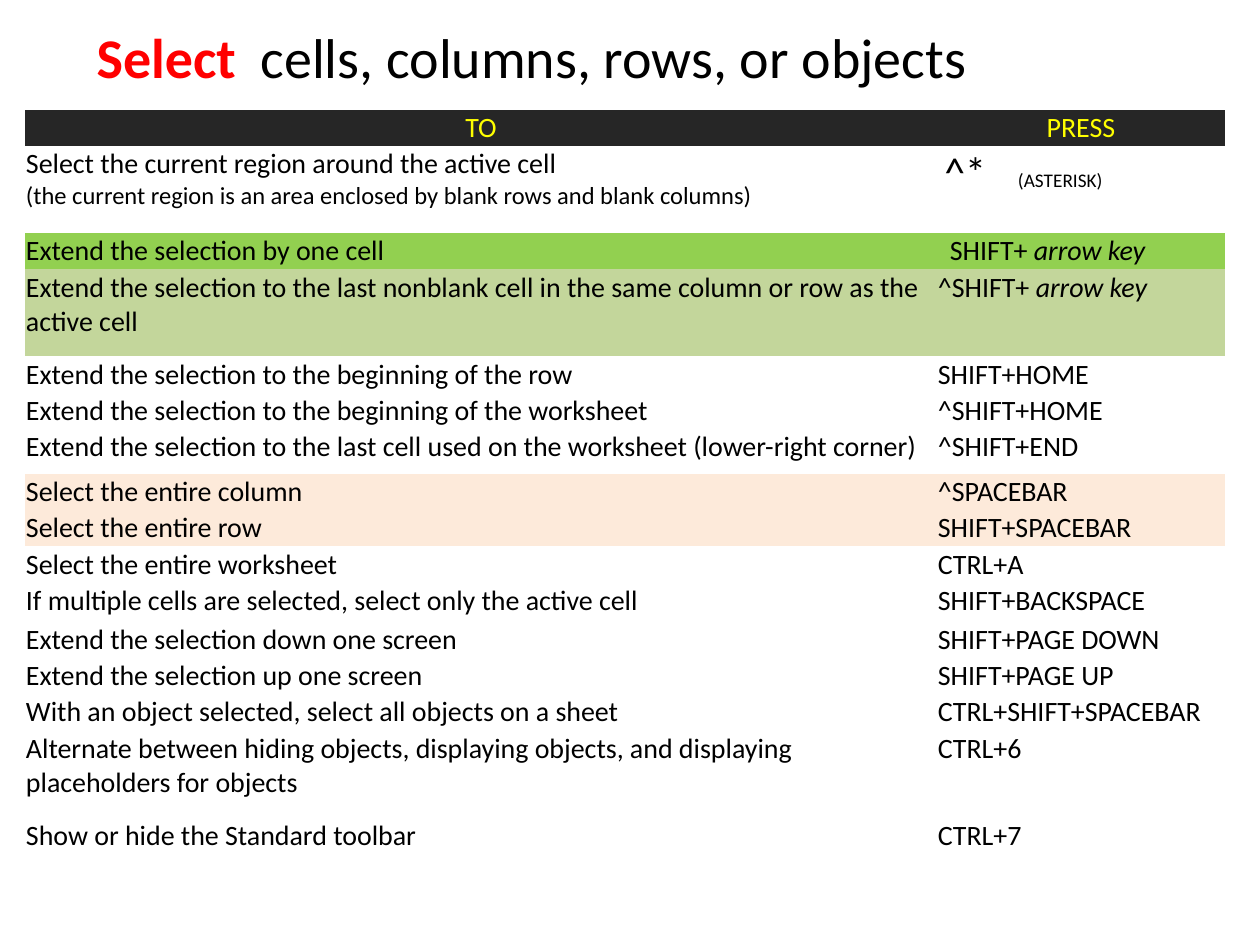
from dataclasses import dataclass

from lxml import etree
from pptx import Presentation
from pptx.dml.color import RGBColor
from pptx.enum.text import MSO_ANCHOR, MSO_AUTO_SIZE, PP_ALIGN
from pptx.oxml.ns import qn
from pptx.util import Pt

LEFT, CENTER = PP_ALIGN.LEFT, PP_ALIGN.CENTER
TOP = MSO_ANCHOR.TOP
NO_AUTOFIT = MSO_AUTO_SIZE.NONE
PX = 914400 // 126  # EMU in one px
PLAIN_TABLE_STYLE = "{2D5ABB26-0587-4C30-8999-92F81FD0307C}"


@dataclass(frozen=True)
class Theme:
    font: str = "Calibri"
    black: str = "000000"
    white: str = "FFFFFF"
    red: str = "FF0000"
    yellow: str = "FFFF00"
    header: str = "262626"
    green: str = "92D050"
    pale_green: str = "C3D69B"
    peach: str = "FDEADA"
    title: int = 32
    key_symbol: int = 24
    body: int = 16
    remark: int = 14
    key_name: int = 11


THEME = Theme()


def add_run(paragraph, text, size=THEME.body, color=THEME.black, bold=False, italic=False):
    run = paragraph.add_run()
    run.text = text
    run.font.name = THEME.font
    run.font.size = Pt(size)
    run.font.bold = bold
    run.font.italic = italic
    run.font.color.rgb = RGBColor.from_string(color)


def set_tab(paragraph, position):
    tabs = etree.SubElement(paragraph._p.get_or_add_pPr(), qn("a:tabLst"))
    etree.SubElement(tabs, qn("a:tab"), pos=str(position * PX), algn="l")


prs = Presentation()
prs.slide_width, prs.slide_height = 1260 * PX, 945 * PX
slide = prs.slides.add_slide(prs.slide_layouts[5])

# Title
title = slide.shapes.title
title.left, title.top, title.width, title.height = (n * PX for n in (84, 16, 951, 81))
title.text_frame.auto_size = NO_AUTOFIT
title.text_frame.vertical_anchor = TOP
heading = title.text_frame.paragraphs[0]
heading.alignment = LEFT
set_tab(heading, 164)
add_run(heading, "Select", THEME.title, THEME.red, bold=True)
add_run(heading, "\tcells, columns, rows, or objects", THEME.title)

# Shortcuts: row height, fill, action, key
SINGLE, SPACED, DOUBLE = 36, 45, 87
shortcuts = [
    (SINGLE, THEME.header, "TO", "PRESS"),
    (DOUBLE, THEME.white, "Select the current region around the active cell", ""),
    (SINGLE, THEME.green, "Extend the selection by one cell", "SHIFT+ "),
    (DOUBLE, THEME.pale_green,
     "Extend the selection to the last nonblank cell in the same column or row as the active cell",
     "^SHIFT+ "),
    (SINGLE, THEME.white, "Extend the selection to the beginning of the row", "SHIFT+HOME"),
    (SINGLE, THEME.white, "Extend the selection to the beginning of the worksheet", "^SHIFT+HOME"),
    (SPACED, THEME.white,
     "Extend the selection to the last cell used on the worksheet (lower-right corner)",
     "^SHIFT+END"),
    (SINGLE, THEME.peach, "Select the entire column", "^SPACEBAR"),
    (SINGLE, THEME.peach, "Select the entire row", "SHIFT+SPACEBAR"),
    (SINGLE, THEME.white, "Select the entire worksheet", "CTRL+A"),
    (39, THEME.white, "If multiple cells are selected, select only the active cell",
     "SHIFT+BACKSPACE"),
    (SINGLE, THEME.white, "Extend the selection down one screen", "SHIFT+PAGE DOWN"),
    (SINGLE, THEME.white, "Extend the selection up one screen", "SHIFT+PAGE UP"),
    (SINGLE, THEME.white, "With an object selected, select all objects on a sheet",
     "CTRL+SHIFT+SPACEBAR"),
    (DOUBLE, THEME.white,
     "Alternate between hiding objects, displaying objects, and displaying placeholders for objects",
     "CTRL+6"),
    (SINGLE, THEME.white, "Show or hide the Standard toolbar", "CTRL+7"),
]
REGION_ROW, ONE_CELL_ROW = 1, 2

# Table
action_width, key_width = 912, 288
table_height = sum(height for height, *_ in shortcuts)
table = slide.shapes.add_table(
    len(shortcuts), 2, 25 * PX, 110 * PX, (action_width + key_width) * PX, table_height * PX
).table
table.first_row = table.horz_banding = False
table._tbl.tblPr.find(qn("a:tableStyleId")).text = PLAIN_TABLE_STYLE
table.columns[0].width, table.columns[1].width = action_width * PX, key_width * PX

for row, (height, fill, *texts) in enumerate(shortcuts):
    table.rows[row].height = height * PX
    is_header = row == 0
    for column, text in enumerate(texts):
        cell = table.cell(row, column)
        cell.fill.solid()
        cell.fill.fore_color.rgb = RGBColor.from_string(fill)
        cell.margin_left = cell.margin_right = cell.margin_top = cell.margin_bottom = PX
        cell.vertical_anchor = TOP
        paragraph = cell.text_frame.paragraphs[0]
        paragraph.alignment = CENTER if is_header else LEFT
        if text:
            add_run(paragraph, text, color=THEME.yellow if is_header else THEME.black)
        if text.endswith("+ "):
            add_run(paragraph, "arrow key", italic=True)

# Current region: remark below the action, symbol and its name as the key
remark = table.cell(REGION_ROW, 0).text_frame.add_paragraph()
add_run(remark, "(the current region is an area enclosed by blank rows and blank columns)",
        THEME.remark)
asterisk_key = table.cell(REGION_ROW, 1).text_frame.paragraphs[0]
set_tab(asterisk_key, 80)
add_run(asterisk_key, " ")
add_run(asterisk_key, "^*", THEME.key_symbol)
add_run(asterisk_key, "\t(ASTERISK)", THEME.key_name)

# One cell: key aligned with the SHIFT of the row below
one_cell_key = table.cell(ONE_CELL_ROW, 1).text_frame.paragraphs[0]
one_cell_key._p.get_or_add_pPr().set("marL", str(12 * PX))

prs.save("out.pptx")
